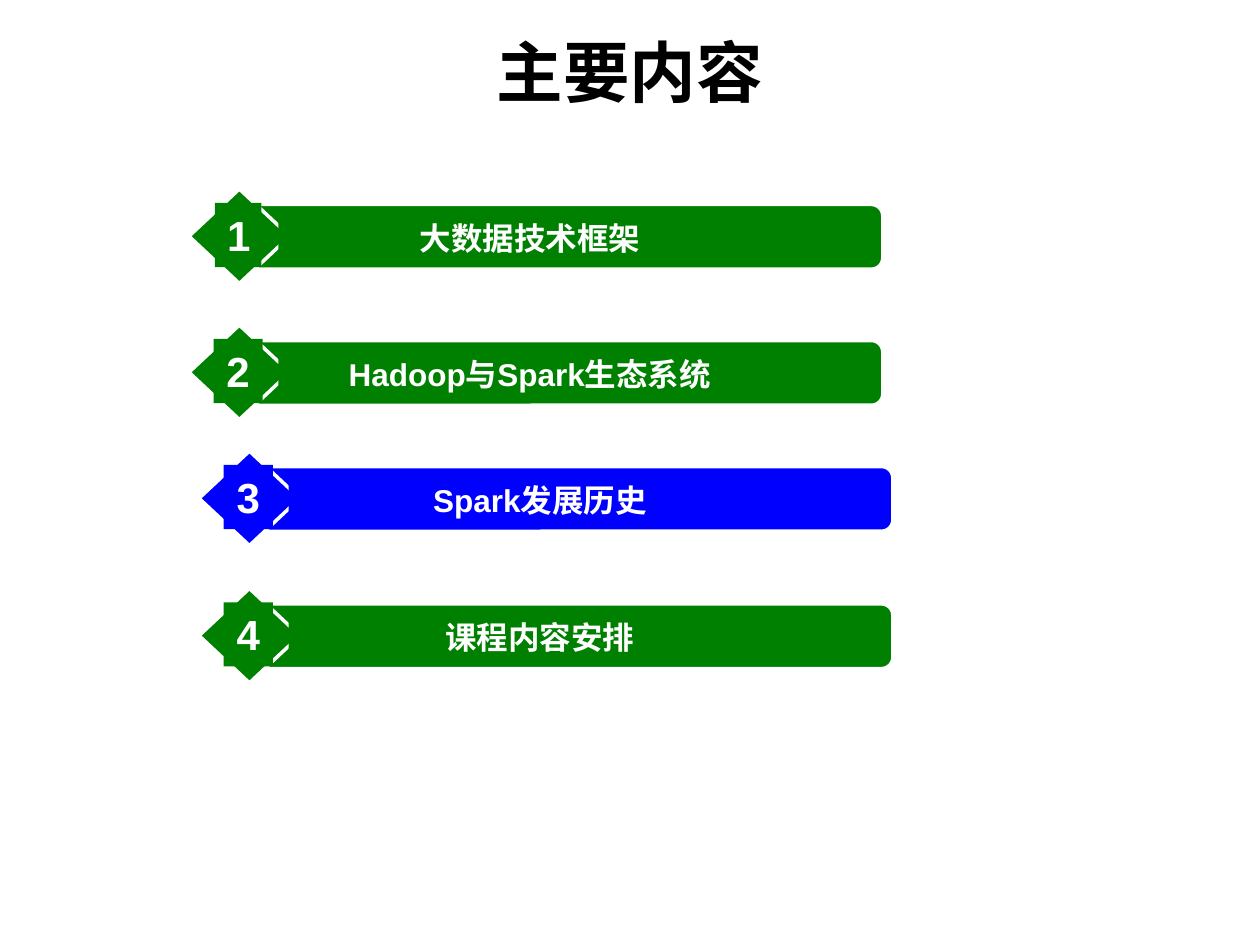
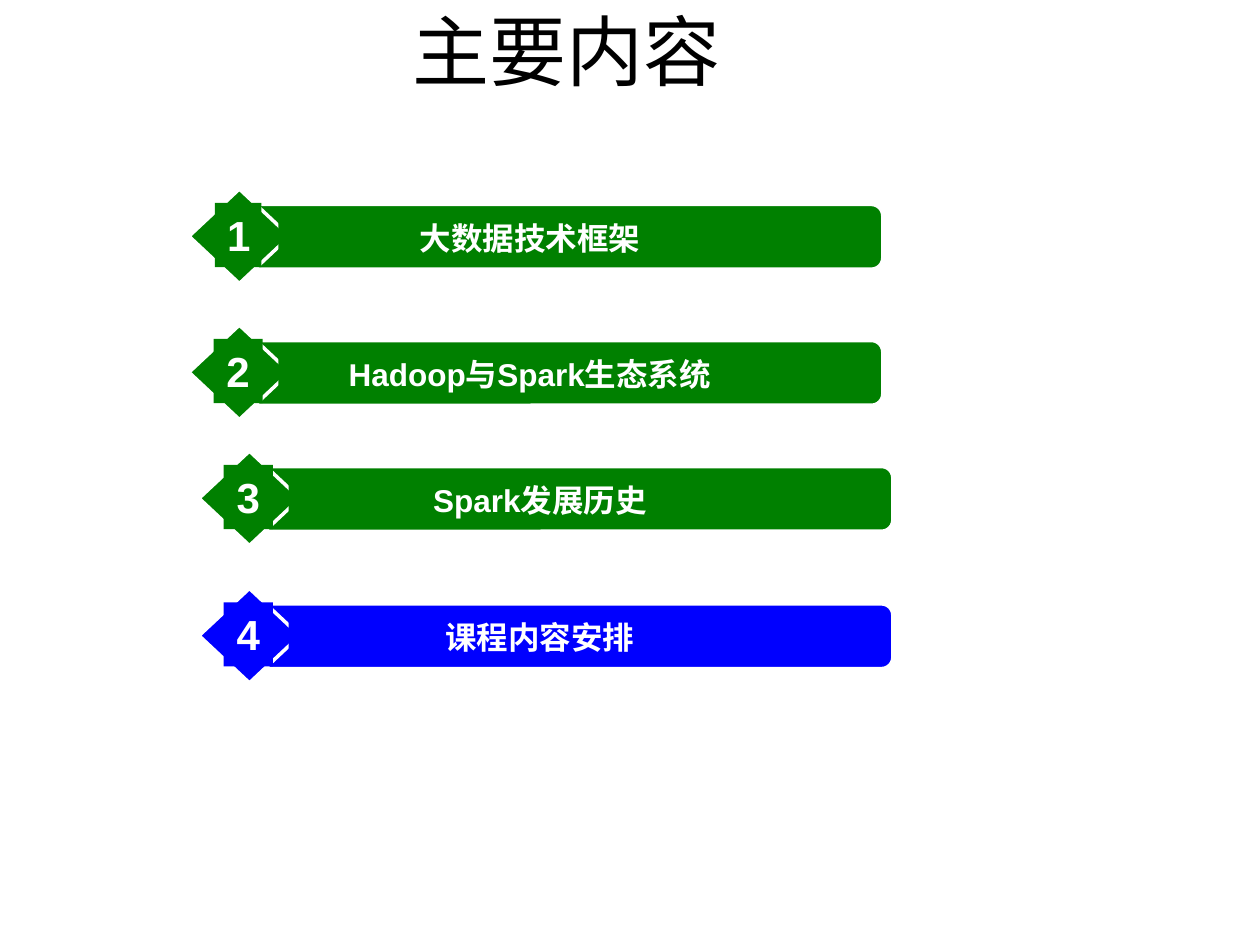
from lxml.etree import SubElement
from pptx import Presentation
from pptx.dml.color import RGBColor
from pptx.enum.shapes import MSO_SHAPE
from pptx.enum.text import MSO_ANCHOR, MSO_AUTO_SIZE, PP_ALIGN
from pptx.oxml.ns import qn
from pptx.util import Inches, Pt

TITLE = "主要内容"
TOPICS = [
    ("大数据技术框架", 1.5, 1.5),
    ("Hadoop与Spark生态系统", 1.5, 2.58),
    ("Spark发展历史", 1.58, 3.58),
    ("课程内容安排", 1.58, 4.67),
]
SLIDES = [
    dict(active=3, box=(0, 0.17, 10, 0.79), size=38, font="Noto Sans CJK SC", bold=True),
    dict(active=4, box=(0, 0.02, 9, 0.75), size=44, font="Arial", bold=False),
]
COLORS = {"normal": "008000", "active": "0000FF", "white": "FFFFFF", "title": "000000"}
HAN = "Noto Sans CJK SC"


def color(name):
    return RGBColor.from_string(COLORS[name])


def style(frame, size, tint, font="Arial", bold=True):
    para = frame.paragraphs[0]
    para.alignment = PP_ALIGN.CENTER
    for run in para.runs:
        run.font.size = Pt(size)
        run.font.bold = bold
        run.font.name = font
        run.font.color.rgb = color(tint)
        SubElement(run.font._element, qn("a:ea"), typeface=HAN)


def add_part(group, kind, box, fill, edge=0):
    part = group.shapes.add_shape(kind, *map(Inches, box))
    part.shadow.inherit = False
    part.fill.solid()
    part.fill.fore_color.rgb = color(fill)
    if edge:
        part.line.color.rgb = color("white")
        part.line.width = Pt(edge)
    else:
        part.line.fill.background()
    return part


def add_label(group, box, fill, text, size, wrap):
    part = add_part(group, MSO_SHAPE.RECTANGLE, box, fill)
    frame = part.text_frame
    frame.text = text
    frame.word_wrap = wrap
    frame.auto_size = MSO_AUTO_SIZE.SHAPE_TO_FIT_TEXT
    frame.vertical_anchor = MSO_ANCHOR.TOP
    style(frame, size, "white")


def add_topic(slide, num, text, left, top, fill):
    group = slide.shapes.add_group_shape()
    bar = add_part(group, MSO_SHAPE.ROUNDED_RECTANGLE,
                   (left + 0.44, top + 0.13, 5.06, 0.5), fill, 1)
    bar.adjustments[0] = 0.167
    add_part(group, MSO_SHAPE.DIAMOND, (left, top, 0.8, 0.75), fill, 2)
    add_label(group, (left + 0.71, top + 0.19, 3.99, 0.4), fill, text, 18, True)
    width = 0.37 if num == 1 else 0.39
    add_label(group, (left + 0.39 - width / 2, top + 0.11, width, 0.51),
              fill, str(num), 24, False)


def add_title(slide, box, size, font, bold):
    title = slide.shapes.title
    title.left, title.top, title.width, title.height = map(Inches, box)
    frame = title.text_frame
    frame.text = TITLE
    frame.auto_size = MSO_AUTO_SIZE.NONE
    frame.vertical_anchor = MSO_ANCHOR.MIDDLE
    style(frame, size, "title", font, bold)


def main():
    deck = Presentation()
    deck.slide_width, deck.slide_height = Inches(10), Inches(7.5)
    for page in SLIDES:
        slide = deck.slides.add_slide(deck.slide_layouts[5])
        add_title(slide, page["box"], page["size"], page["font"], page["bold"])
        for num, (text, left, top) in enumerate(TOPICS, 1):
            fill = "active" if num == page["active"] else "normal"
            add_topic(slide, num, text, left, top, fill)
    deck.save("out.pptx")


if __name__ == "__main__":
    main()
